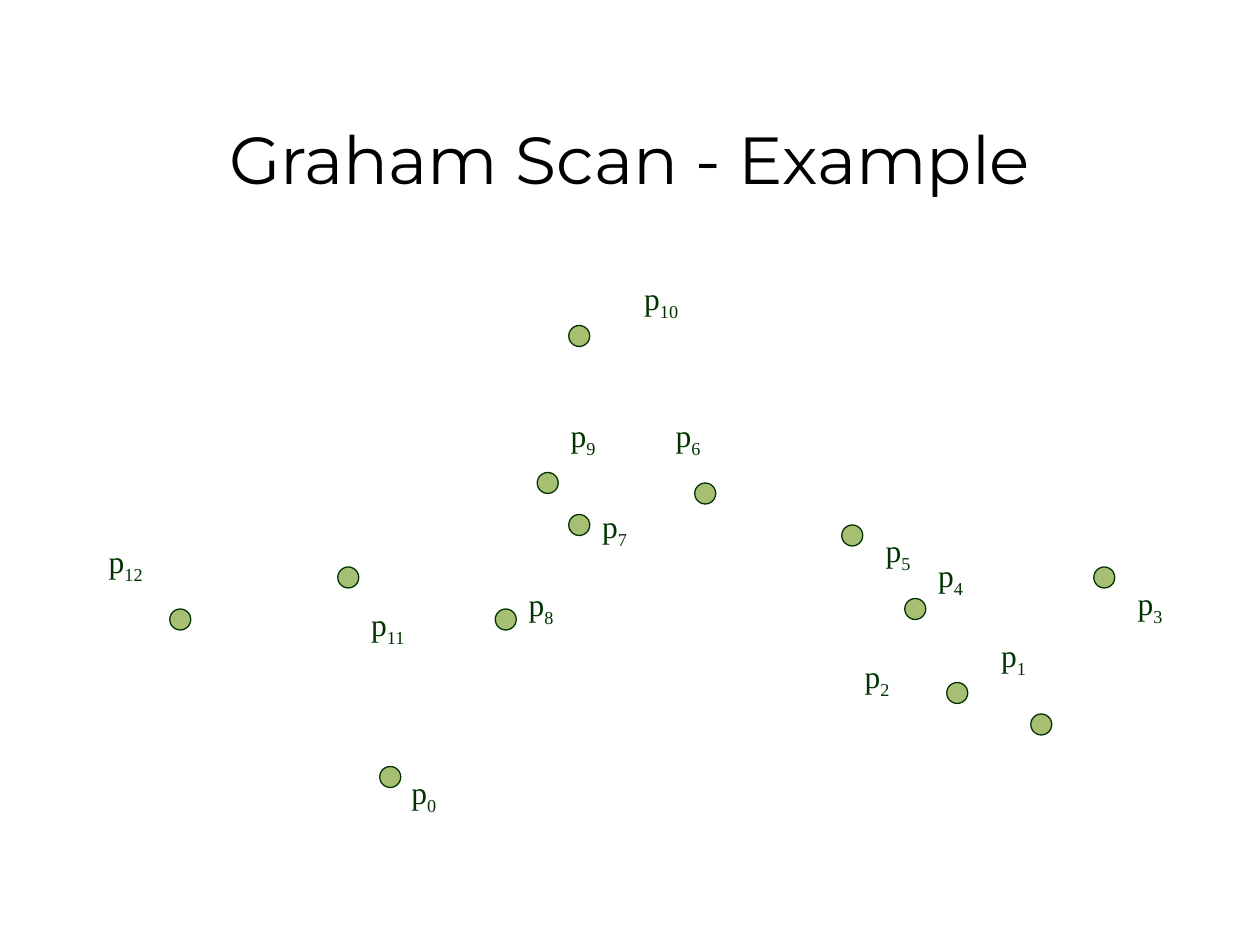
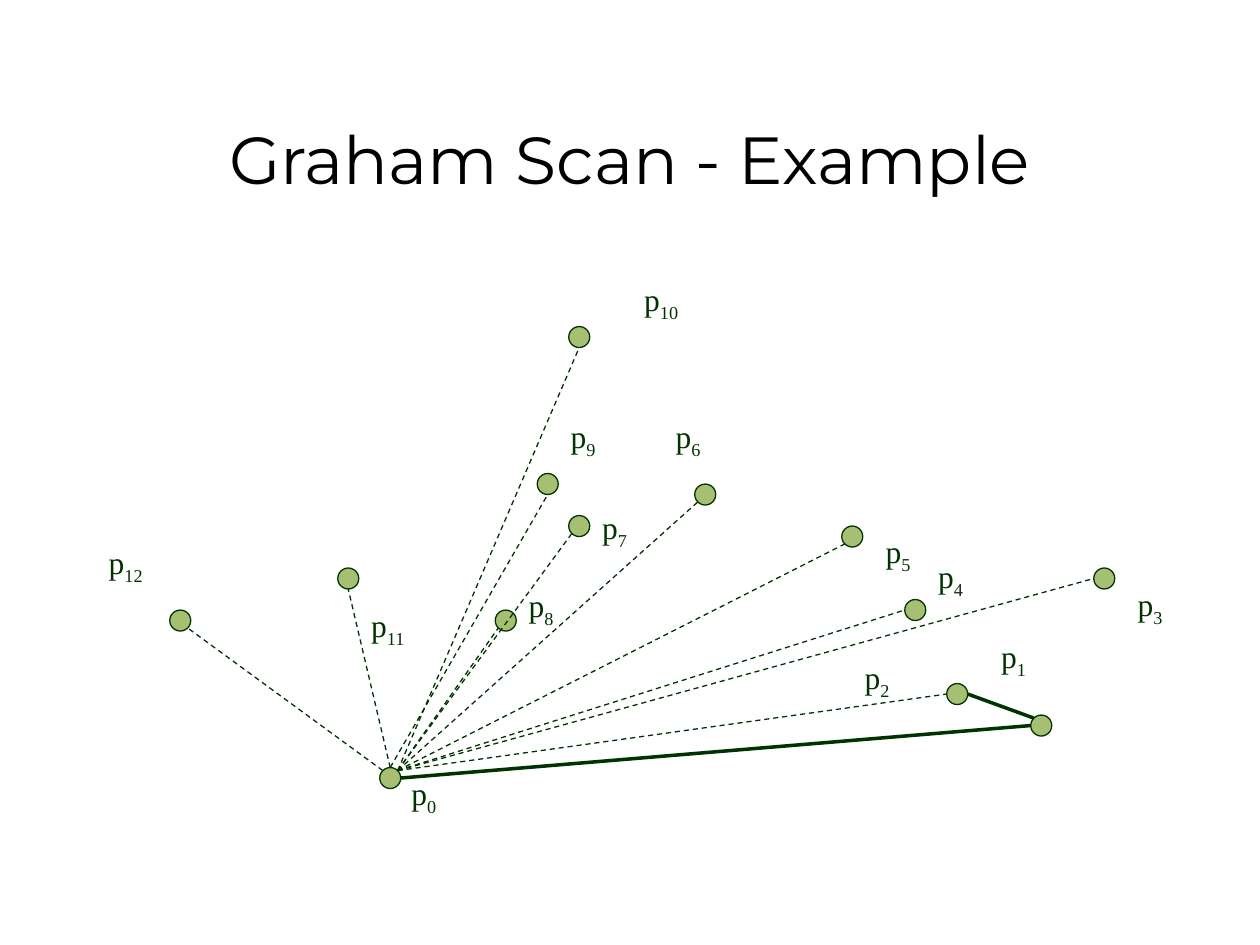
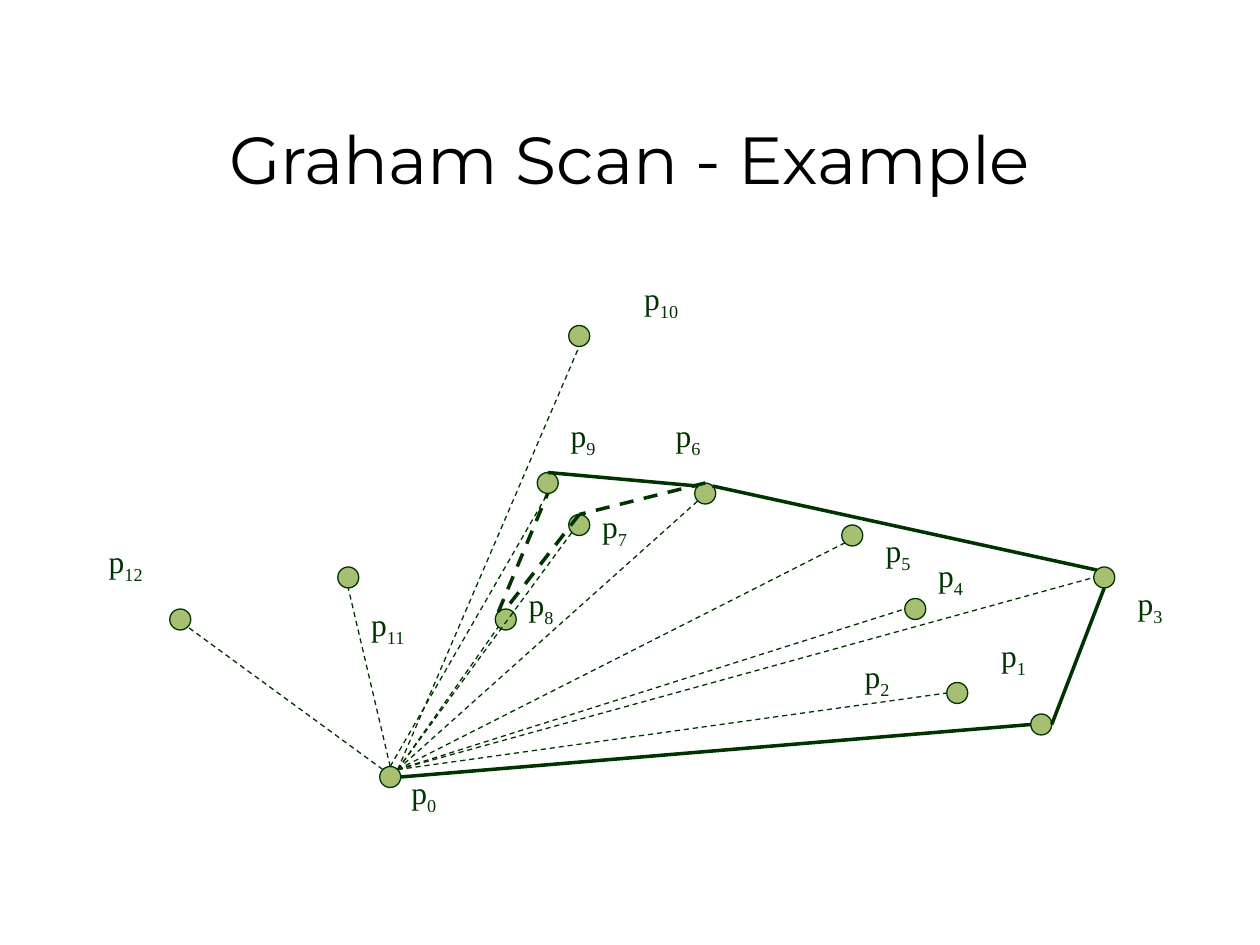
from dataclasses import dataclass
from math import sqrt

from lxml.etree import SubElement
from pptx import Presentation
from pptx.dml.color import RGBColor
from pptx.enum.dml import MSO_LINE
from pptx.enum.shapes import MSO_CONNECTOR, MSO_SHAPE
from pptx.enum.text import MSO_ANCHOR, MSO_AUTO_SIZE, PP_ALIGN
from pptx.oxml.ns import qn
from pptx.slide import Slide
from pptx.util import Pt

COLORS = {"title": "000000", "ink": "003300", "point": "A6BF73"}
TITLE_FONT = "Montserrat"
LABEL_FONT = "Times New Roman"
RADIUS = 6
THIN, THICK = 0.75, 2
LABEL_HEIGHT = 36
LABEL_WIDTHS = {1: 34.5, 2: 42.5}
DIAGONAL = 1 / sqrt(2)
ANCHORS = {
    "top": (0, -1),
    "bottom": (0, 1),
    "left": (-1, 0),
    "right": (1, 0),
    "top left": (-DIAGONAL, -DIAGONAL),
    "top right": (DIAGONAL, -DIAGONAL),
    "bottom left": (-DIAGONAL, DIAGONAL),
    "bottom right": (DIAGONAL, DIAGONAL),
}


@dataclass(frozen=True)
class ScanPoint:
    x: float
    y: float
    label_left: float
    label_top: float


@dataclass(frozen=True)
class Edge:
    start: int
    start_anchor: str
    end: int
    end_anchor: str
    width: float = THICK
    dashed: bool = False


@dataclass(frozen=True)
class Step:
    edges: list[Edge]
    shift: float = 0


POINTS = [
    ScanPoint(223, 444, 228, 438),
    ScanPoint(595, 414, 565, 360),
    ScanPoint(547, 396, 487, 372),
    ScanPoint(631, 330, 643, 330),
    ScanPoint(523, 348, 529, 314),
    ScanPoint(487, 306, 499, 300),
    ScanPoint(403, 282, 379, 234),
    ScanPoint(331, 300, 337, 286),
    ScanPoint(289, 354, 295, 331),
    ScanPoint(313, 276, 319, 234),
    ScanPoint(331, 192, 361, 156),
    ScanPoint(199, 330, 205, 342),
    ScanPoint(103, 354, 55, 306),
]

RAY_ANCHORS = {
    **{index: ("top right", "left") for index in (2, 3, 4)},
    **{index: ("top right", "bottom left") for index in (5, 6, 7, 8)},
    9: ("top", "bottom"),
    10: ("top right", "bottom"),
    11: ("top", "bottom"),
    12: ("top left", "bottom right"),
}
RAYS = [
    Edge(0, start, index, end, THIN, True)
    for index, (start, end) in RAY_ANCHORS.items()
]
BASE_EDGE = Edge(0, "right", 1, "left")

STEPS = [
    Step([]),
    Step([*RAYS, BASE_EDGE, Edge(1, "top left", 2, "right")], shift=0.6),
    Step([
        *RAYS,
        BASE_EDGE,
        Edge(1, "right", 3, "bottom"),
        Edge(3, "top left", 6, "top right"),
        Edge(6, "top", 7, "top", dashed=True),
        Edge(7, "top", 8, "top", dashed=True),
        Edge(8, "top left", 9, "bottom", dashed=True),
        Edge(6, "top left", 9, "top"),
    ]),
]


def color(name: str) -> RGBColor:
    return RGBColor.from_string(COLORS[name])


def set_title(page: Slide, text: str) -> None:
    title = page.shapes.title
    title.left, title.top, title.width, title.height = Pt(36), Pt(45.5), Pt(648), Pt(90)
    frame = title.text_frame
    frame.text = text
    frame.vertical_anchor = MSO_ANCHOR.MIDDLE
    para = frame.paragraphs[0]
    para.alignment = PP_ALIGN.CENTER
    font = para.runs[0].font
    font.name, font.size = TITLE_FONT, Pt(38)
    font.color.rgb = color("title")


def draw_point(page: Slide, point: ScanPoint, shift: float) -> None:
    dot = page.shapes.add_shape(
        MSO_SHAPE.FLOWCHART_CONNECTOR,
        Pt(point.x - RADIUS), Pt(point.y - RADIUS + shift),
        Pt(2 * RADIUS), Pt(2 * RADIUS),
    )
    dot.shadow.inherit = False
    dot.fill.solid()
    dot.fill.fore_color.rgb = color("point")
    dot.line.color.rgb = color("ink")
    dot.line.width = Pt(THIN)


def draw_label(page: Slide, point: ScanPoint, index: int, shift: float) -> None:
    subscript = str(index)
    box = page.shapes.add_textbox(
        Pt(point.label_left), Pt(point.label_top + shift),
        Pt(LABEL_WIDTHS[len(subscript)]), Pt(LABEL_HEIGHT),
    )
    frame = box.text_frame
    frame.word_wrap = False
    frame.auto_size = MSO_AUTO_SIZE.SHAPE_TO_FIT_TEXT
    para = frame.paragraphs[0]
    para.text = "p"
    para.add_run().text = subscript
    for span in para.runs:
        span.font.name, span.font.size = LABEL_FONT, Pt(18)
        span.font.color.rgb = color("ink")
    para.runs[1]._r.get_or_add_rPr().set("baseline", "-25000")


def anchor_position(index: int, anchor: str, shift: float) -> tuple[Pt, Pt]:
    point = POINTS[index]
    across, down = ANCHORS[anchor]
    return Pt(point.x + RADIUS * across), Pt(point.y + RADIUS * down + shift)


def draw_edge(page: Slide, edge: Edge, shift: float) -> None:
    connector = page.shapes.add_connector(
        MSO_CONNECTOR.STRAIGHT,
        *anchor_position(edge.start, edge.start_anchor, shift),
        *anchor_position(edge.end, edge.end_anchor, shift),
    )
    connector.line.color.rgb = color("ink")
    connector.line.width = Pt(edge.width)
    if edge.dashed:
        connector.line.dash_style = MSO_LINE.DASH
    SubElement(connector._element.spPr, qn("a:effectLst"))


def draw_step(page: Slide, step: Step) -> None:
    set_title(page, "Graham Scan - Example")
    for point in POINTS:
        draw_point(page, point, step.shift)
    for index, point in enumerate(POINTS):
        draw_label(page, point, index, step.shift)
    for edge in step.edges:
        draw_edge(page, edge, step.shift)


def main() -> None:
    deck = Presentation()
    deck.slide_width, deck.slide_height = Pt(720), Pt(540)
    title_only = deck.slide_layouts[5]
    for step in STEPS:
        draw_step(deck.slides.add_slide(title_only), step)
    deck.save("out.pptx")


if __name__ == "__main__":
    main()
